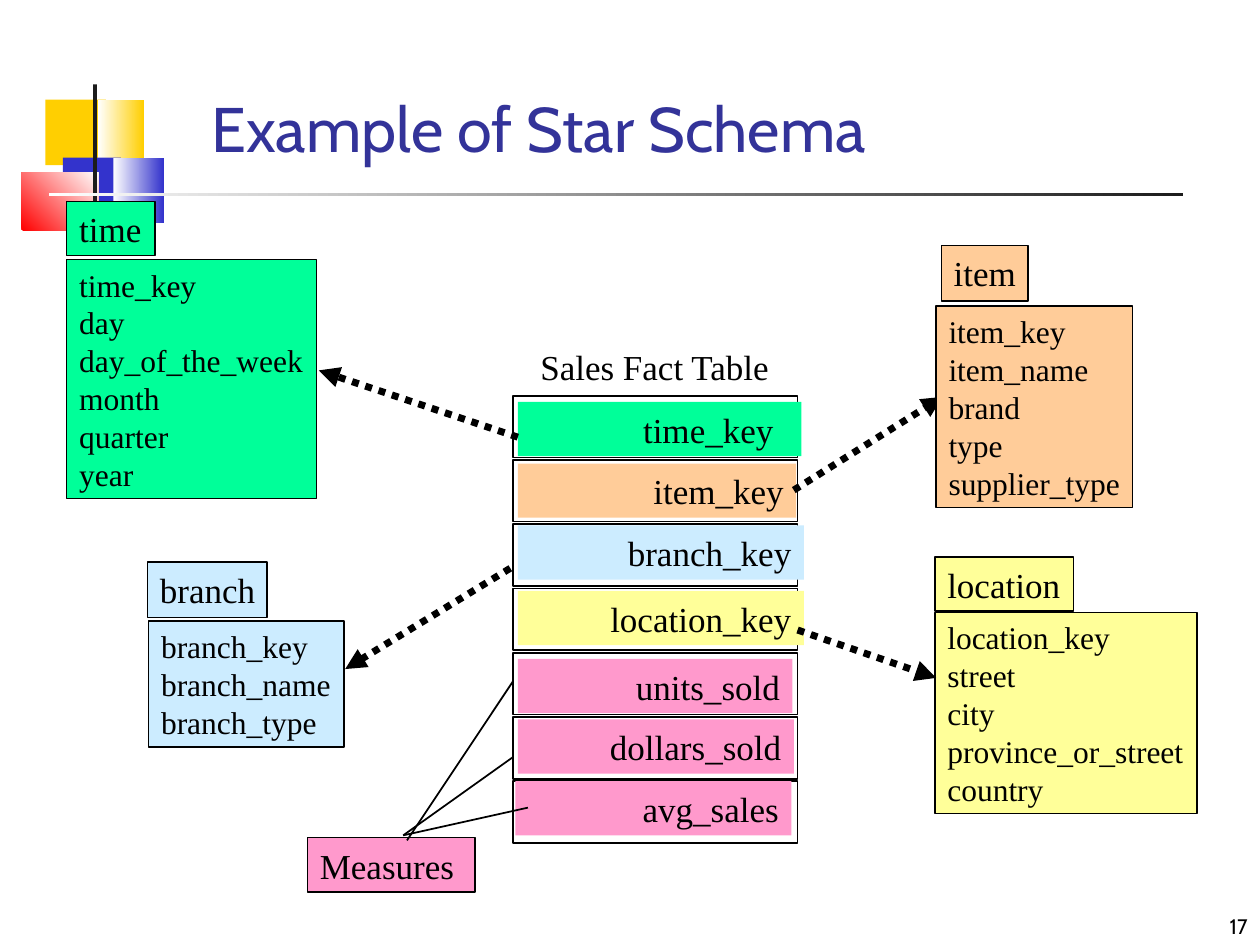
from collections import namedtuple

from lxml import etree
from pptx import Presentation
from pptx.dml.color import RGBColor
from pptx.enum.dml import MSO_LINE
from pptx.enum.shapes import MSO_CONNECTOR, MSO_SHAPE
from pptx.enum.text import MSO_ANCHOR, PP_ALIGN
from pptx.oxml.ns import qn
from pptx.util import Emu, Pt

SCALE = 9144
RECTANGLE = MSO_SHAPE.RECTANGLE
STRAIGHT = MSO_CONNECTOR.STRAIGHT
DOTTED = MSO_LINE.ROUND_DOT
TOP, BOTTOM = MSO_ANCHOR.TOP, MSO_ANCHOR.BOTTOM
LEFT, RIGHT = PP_ALIGN.LEFT, PP_ALIGN.RIGHT

SERIF, SANS = "Times New Roman", "Cabin"
BLACK, WHITE, INK = "000000", "FFFFFF", "1C1C1C"
GOLD, BLUE, RED, NAVY = "FFCF01", "3333CC", "FF0000", "333399"
GREEN, ORANGE, SKY, YELLOW, PINK = "00FF99", "FFCC99", "CCECFF", "FFFF99", "FF99CC"

Box = namedtuple("Box", "left top width height")


def px(length):
    return Emu(length * SCALE)


def color(code):
    return RGBColor.from_string(code)


def apply(target, values):
    for name, value in values.items():
        setattr(target, name, value)


def within(box, left, top, width, height):
    return Box(box.left + left, box.top + top, width, height)


def add_rectangle(page, box, fill=None, line=None, angle=0):
    shape = page.shapes.add_shape(RECTANGLE, *map(px, box))
    shape.shadow.inherit = False
    if fill is None:
        shape.fill.background()
    elif isinstance(fill, tuple):
        shape.fill.gradient()
        shape.fill.gradient_angle = angle
        for stop, code in zip(shape.fill.gradient_stops, fill):
            stop.color.rgb = color(code)
    else:
        shape.fill.solid()
        shape.fill.fore_color.rgb = color(fill)
    if line is None:
        shape.line.fill.background()
    else:
        shape.line.color.rgb = color(BLACK)
        shape.line.width = Pt(line)
    return shape


def write(shape, lines, size, face=SERIF, ink=BLACK, align=LEFT, anchor=TOP, wrap=False, right=10):
    frame = shape.text_frame
    apply(frame, {
        "word_wrap": wrap, "vertical_anchor": anchor,
        "margin_left": px(10), "margin_right": px(right),
        "margin_top": px(5), "margin_bottom": px(5),
    })
    for index, line in enumerate(lines):
        para = frame.add_paragraph() if index else frame.paragraphs[0]
        para.alignment = align
        span = para.add_run()
        span.text = line
        apply(span.font, {"name": face, "size": Pt(size)})
        span.font.color.rgb = color(ink)


def add_label(page, box, *lines, **style):
    write(page.shapes.add_textbox(*map(px, box)), lines, **style)


def add_line(page, start, end, width=1, arrow=False):
    line = page.shapes.add_connector(STRAIGHT, *map(px, start + end))
    line.line.color.rgb = color(BLACK)
    line.line.width = Pt(width)
    if arrow:
        line.line.dash_style = DOTTED
        tail = etree.SubElement(line.line._get_or_add_ln(), qn("a:tailEnd"))
        tail.set("type", "triangle")
    etree.SubElement(line._element.spPr, qn("a:effectLst"))


def add_ornament(page, box):
    blocks = [
        ((19, 12, 48, 52), GOLD, 0),
        ((61, 12, 36, 52), (WHITE, GOLD), 0),
        ((33, 58, 46, 52), BLUE, 0),
        ((73, 58, 40, 52), (WHITE, BLUE), 0),
        ((0, 70, 61, 46), (RED, WHITE), 45),
        ((57, 0, 3, 115), INK, 0),
        ((22, 86, 900, 3), (WHITE, INK), 0),
    ]
    for place, fill, angle in blocks:
        add_rectangle(page, within(box, *place), fill, angle=angle)


def add_dimension(page, box, fill, name, name_place, fields):
    write(add_rectangle(page, box, fill, 0.75), fields, 18)
    write(add_rectangle(page, within(box, *name_place), fill, 0.75), [name], 20)


def add_fact_table(page, box):
    add_label(page, within(box, 12, -45, 204, 43), "Sales Fact Table", size=20)
    rows = [
        ("time_key", GREEN, 4, 5, 225, 22),
        ("item_key", ORANGE, 4, 54, 221, 10),
        ("branch_key", SKY, 4, 103, 227, 10),
        ("location_key", YELLOW, 4, 155, 227, 10),
        ("units_sold", PINK, 4, 209, 218, 10),
        ("dollars_sold", PINK, 4, 257, 219, 10),
        ("avg_sales", PINK, 2, 306, 219, 10),
    ]
    pitch = 51
    for index in range(len(rows)):
        add_rectangle(page, within(box, 0, index * pitch, box.width, pitch - 2), line=1)
    for name, fill, left, top, width, right in rows:
        label = add_rectangle(page, within(box, left, top, width, 43), fill)
        write(label, [name], 20, align=RIGHT, wrap=True, right=right)


def add_measures(page, box):
    write(add_rectangle(page, box, PINK, 0.75), ["Measures"], 20, wrap=True)
    for start, end in [((79, 2), (163, -124)), ((76, -2), (163, -64)), ((76, -2), (175, -24))]:
        add_line(page, *[(box.left + x, box.top + y) for x, y in (start, end)])


def add_arrows(page, box):
    arrows = [
        ((-2, 137), (-133, 217)),
        ((4, 33), (-154, -20)),
        ((226, 186), (336, 224)),
        ((223, 75), (341, 1)),
    ]
    for ends in arrows:
        add_line(page, *[(box.left + x, box.top + y) for x, y in ends], width=4, arrow=True)


def main():
    deck = Presentation()
    deck.slide_width, deck.slide_height = px(1000), px(750)
    page = deck.slides.add_slide(deck.slide_layouts[6])
    fact_box = Box(407, 314, 226, 355)

    add_ornament(page, Box(17, 67, 922, 116))
    add_label(page, Box(792, 700, 208, 50), "17",
              size=12, face=SANS, align=RIGHT, anchor=BOTTOM, wrap=True)
    add_label(page, Box(158, 66, 794, 70), "Example of Star Schema",
              size=36, face=SANS, ink=NAVY, anchor=BOTTOM, wrap=True)
    add_dimension(page, Box(53, 206, 198, 190), GREEN, "time", (0, -46, 70, 43),
                  ["time_key", "day", "day_of_the_week", "month", "quarter", "year"])
    add_dimension(page, Box(742, 486, 208, 160), YELLOW, "location", (0, -44, 110, 43),
                  ["location_key", "street", "city", "province_or_street", "country"])
    add_fact_table(page, fact_box)
    add_measures(page, Box(244, 665, 133, 43))
    add_arrows(page, fact_box)
    add_dimension(page, Box(743, 243, 156, 160), ORANGE, "item", (4, -48, 69, 44),
                  ["item_key", "item_name", "brand", "type", "supplier_type"])
    add_dimension(page, Box(118, 493, 155, 100), SKY, "branch", (-1, -47, 95, 44),
                  ["branch_key", "branch_name", "branch_type"])
    deck.save("out.pptx")


if __name__ == "__main__":
    main()
